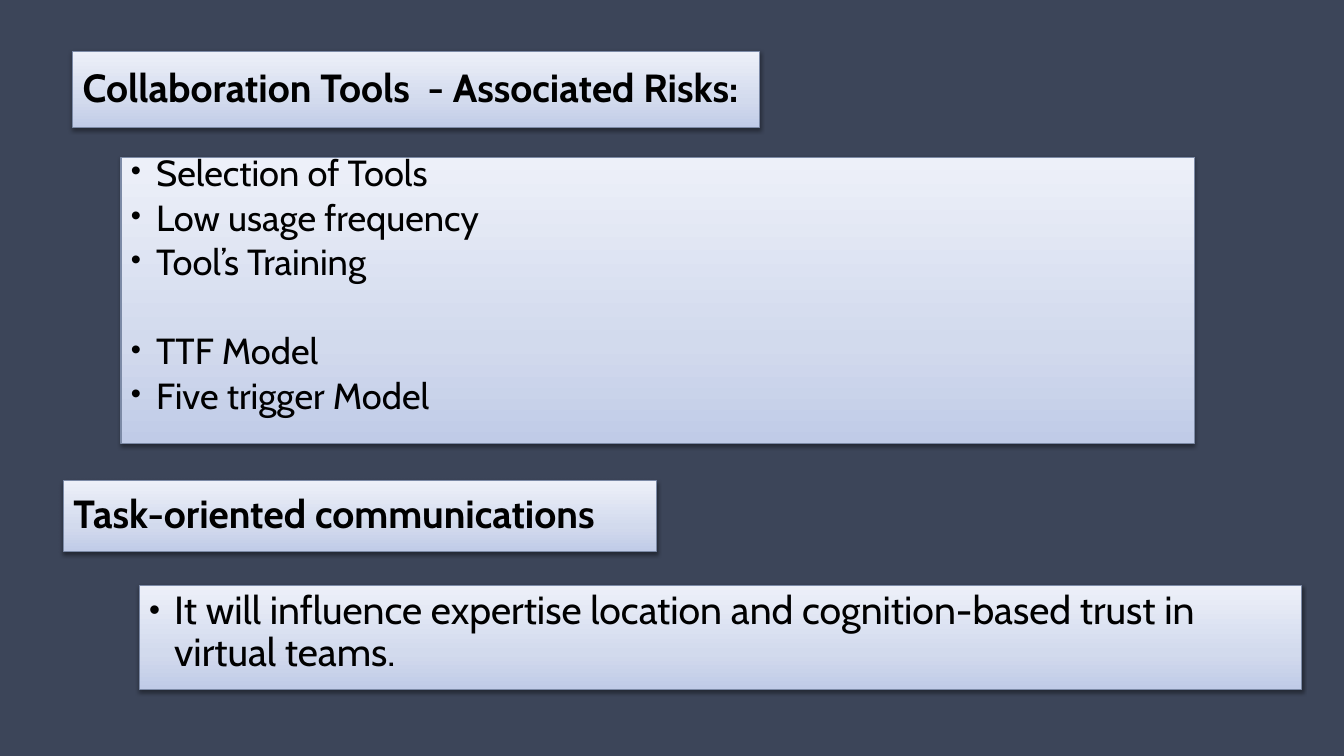
from pptx import Presentation
from pptx.dml.color import RGBColor
from pptx.enum.shapes import MSO_SHAPE as Preset
from pptx.enum.text import MSO_ANCHOR as Anchor, MSO_AUTO_SIZE as AutoSize, PP_ALIGN as Align
from pptx.oxml import parse_xml
from pptx.oxml.ns import nsdecls
from pptx.util import Inches, Pt


def color(hex_string):
    return RGBColor.from_string(hex_string)


class PanelSlide:
    """Holds the style and the current slide."""

    font = "Cabin"
    text_color = "000000"
    background = "3C4559"
    border = "7C8AA6"
    gradient = ((0, "C0CBE7"), (35, "D2DAED"), (100, "EDF0F9"))

    def __init__(self, presentation):
        title_only = presentation.slide_layouts[5]
        self.slide = presentation.slides.add_slide(title_only)
        fill = self.slide.background.fill
        fill.solid()
        fill.fore_color.rgb = color(self.background)

    def rectangle(self, box):
        return self.slide.shapes.add_shape(Preset.RECTANGLE, *map(Inches, box))

    def style_panel(self, shape):
        """Give a shape the border, the upward gradient and the soft shadow."""
        shape.line.color.rgb = color(self.border)
        shape.line.width = Pt(0.75)
        shape.shadow.inherit = False
        properties = shape._element.spPr
        stops = "".join(
            f'<a:gs pos="{position * 1000}"><a:srgbClr val="{value}"/></a:gs>'
            for position, value in self.gradient
        )
        properties.ln.addprevious(parse_xml(
            f'<a:gradFill {nsdecls("a")} rotWithShape="1"><a:gsLst>{stops}</a:gsLst>'
            '<a:lin ang="16200000" scaled="0"/></a:gradFill>'
        ))
        properties.ln.getnext().append(parse_xml(
            f'<a:outerShdw {nsdecls("a")} blurRad="{Pt(3.1)}" dist="{Pt(1.6)}" dir="5400000"'
            ' rotWithShape="0"><a:srgbClr val="000000"><a:alpha val="38000"/></a:srgbClr>'
            '</a:outerShdw>'
        ))

    def text_frame(self, shape, anchor):
        frame = shape.text_frame
        frame.word_wrap = True
        frame.auto_size = AutoSize.NONE
        frame.vertical_anchor = anchor
        return frame

    def add_text(self, paragraph, text, size, spacing, bold=False):
        paragraph.alignment = Align.LEFT
        paragraph.line_spacing = spacing
        run = paragraph.add_run()
        run.text = text
        run.font.name = self.font
        run.font.size = Pt(size)
        run.font.bold = bold
        run.font.color.rgb = color(self.text_color)

    def heading(self, shape, text):
        self.style_panel(shape)
        frame = self.text_frame(shape, Anchor.MIDDLE)
        self.add_text(frame.paragraphs[0], text, 28, 0.9, bold=True)

    def title(self, box, text):
        shape = self.slide.shapes.title
        shape.left, shape.top, shape.width, shape.height = map(Inches, box)
        self.heading(shape, text)

    def subheading(self, box, text):
        self.heading(self.rectangle(box), text)

    def bullets(self, box, items, size, spacing):
        """Draw a panel of bullets; each item is its text and the points before it."""
        shape = self.rectangle(box)
        self.style_panel(shape)
        frame = self.text_frame(shape, Anchor.TOP)
        for index, (text, space_before) in enumerate(items):
            paragraph = frame.add_paragraph() if index else frame.paragraphs[0]
            self.add_text(paragraph, text, size, spacing)
            paragraph.space_before = Pt(space_before)
            properties = paragraph._p.get_or_add_pPr()
            properties.set("marL", str(Inches(0.25)))
            properties.set("indent", str(-Inches(0.25)))
            for bullet in ('buSzPct val="80000"', 'buFont typeface="Arial"', 'buChar char="•"'):
                properties.append(parse_xml(f'<a:{bullet} {nsdecls("a")}/>'))


def main():
    presentation = Presentation()
    presentation.slide_width = Inches(13.33)
    presentation.slide_height = Inches(7.5)

    risks = PanelSlide(presentation)
    risks.title((0.72, 0.51, 6.81, 0.76), "Collaboration Tools  - Associated Risks:")
    risks.bullets(
        (1.2, 1.56, 10.65, 2.84),
        [
            ("Selection of Tools", 10),
            ("Low usage frequency", 10),
            ("Tool’s Training", 10),
            ("TTF Model", 42),
            ("Five trigger Model", 10),
        ],
        size=25.9,
        spacing=0.7,
    )
    risks.subheading((0.63, 4.77, 5.88, 0.7), "Task-oriented communications")
    risks.bullets(
        (1.38, 5.81, 11.53, 1.03),
        [("It will influence expertise location and cognition-based trust in virtual teams.", 10)],
        size=28,
        spacing=0.9,
    )
    presentation.save("out.pptx")


if __name__ == "__main__":
    main()
